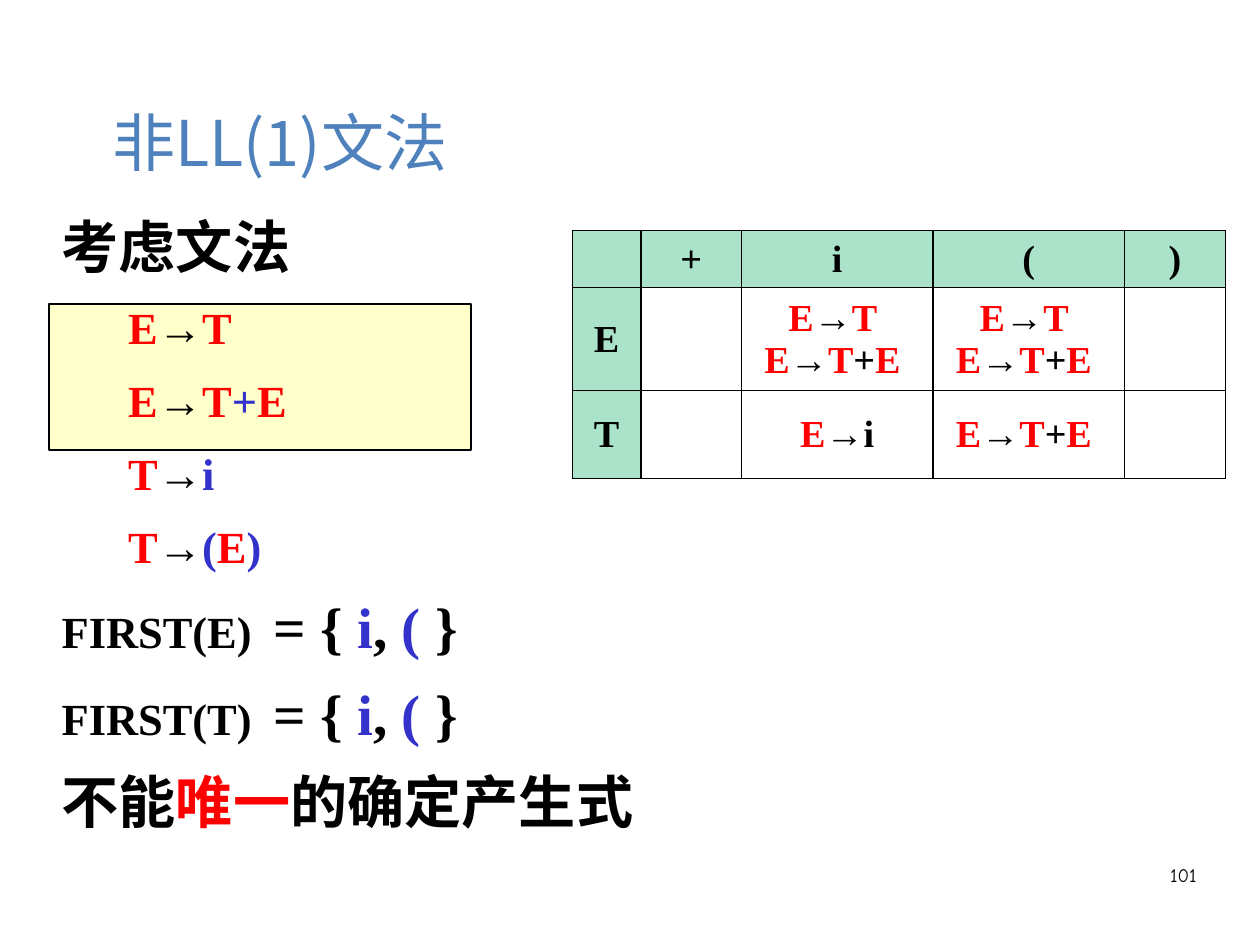
from dataclasses import dataclass
from itertools import groupby

from lxml.etree import SubElement
from pptx import Presentation
from pptx.dml.color import RGBColor
from pptx.enum.shapes import MSO_SHAPE
from pptx.enum.text import MSO_ANCHOR, PP_ALIGN
from pptx.oxml.ns import qn
from pptx.util import Cm, Inches, Pt


@dataclass(frozen=True)
class Theme:
    title: str = "4F81BD"
    black: str = "000000"
    red: str = "FF0000"
    blue: str = "3333CC"
    highlight: str = "FFFFCC"
    header: str = "AAE2CA"
    serif: str = "Times New Roman"
    chinese: str = "Noto Sans CJK SC"
    number_font: str = "Comic Neue"
    title_size: float = 39.7
    large: float = 36
    medium: float = 28
    table_size: float = 24
    number_size: float = 12


THEME = Theme()
WIDTH, HEIGHT = Cm(28), Cm(21)

# Lengths below are columns and rows of a 100 by 100 grid
TABLE_COLUMNS = [5.44, 7.98, 15.2, 15.18, 8.05]
TABLE_ROWS = [6.04, 10.88, 9.31]
EXPANSION = ["E→T ", "E→T+E "]
PARSE_TABLE = [
    [[], ["+"], ["i"], ["("], [")"]],
    [["E"], [], EXPANSION, EXPANSION, []],
    [["T"], [], ["E→i"], EXPANSION[1:], []],
]
GRAMMAR = ["E→T", "E→T+E", "T→i", "T→(E)"]


def columns(count):
    return round(WIDTH * count / 100)


def rows(count):
    return round(HEIGHT * count / 100)


def area(left, top, width, height):
    return columns(left), rows(top), columns(width), rows(height)


def set_all(target, values):
    for name, value in values.items():
        setattr(target, name, value)


def add_span(para, text, size, color=THEME.black, font=THEME.serif, bold=True):
    span = para.add_run()
    span.text = text
    set_all(span.font, {"size": Pt(size), "name": font, "bold": bold})
    span.font.color.rgb = RGBColor.from_string(color)
    SubElement(span.font._element, qn("a:ea"), typeface=font)


def add_production(para, text, size, terminal_color):
    """Colour nonterminals red, arrows black and terminals as given."""
    def symbol_color(symbol):
        if symbol in "ET ":
            return THEME.red
        return THEME.black if symbol == "→" else terminal_color

    for color, symbols in groupby(text, symbol_color):
        add_span(para, "".join(symbols), size, color)


def add_text_box(page, place, insets=(0, 0, 0, 0), anchor=MSO_ANCHOR.TOP):
    frame = page.shapes.add_textbox(*place).text_frame
    sides = ("margin_left", "margin_top", "margin_right", "margin_bottom")
    set_all(frame, dict(zip(sides, map(Inches, insets))))
    set_all(frame, {"word_wrap": True, "vertical_anchor": anchor})
    return frame


def next_para(frame):
    """Use the empty first paragraph, then add new ones."""
    first = frame.paragraphs[0]
    return frame.add_paragraph() if first.runs else first


def add_body_line(frame, indent=0, tab=None):
    para = next_para(frame)
    properties = para._p.get_or_add_pPr()
    properties.set("marL", str(columns(indent)))
    if tab:
        stops = SubElement(properties, qn("a:tabLst"))
        SubElement(stops, qn("a:tab"), pos=str(columns(tab)), algn="l")
    set_all(para, {"line_spacing": 0.95, "space_after": Pt(14.1)})
    return para


def add_highlight(page, place):
    box = page.shapes.add_shape(MSO_SHAPE.RECTANGLE, *place)
    box.shadow.inherit = False
    box.fill.solid()
    box.fill.fore_color.rgb = RGBColor.from_string(THEME.highlight)
    box.line.color.rgb = RGBColor.from_string(THEME.black)
    box.line.width = Pt(1.25)


def add_body(page, place):
    frame = add_text_box(page, place, (0, 0.02, 0, 0))
    add_span(add_body_line(frame), "考虑文法", THEME.large, font=THEME.chinese)

    # Productions
    for production in GRAMMAR:
        para = add_body_line(frame, indent=5.28)
        add_production(para, production, THEME.medium, THEME.blue)

    # First sets
    for symbol in "ET":
        para = add_body_line(frame, tab=16.83)
        add_span(para, f"FIRST({symbol})\t", THEME.medium)
        for text, color in (("= { ", THEME.black), ("i", THEME.blue),
                            (", ", THEME.black), ("( ", THEME.blue),
                            ("}", THEME.black)):
            add_span(para, text, THEME.large, color)

    # Conclusion
    para = add_body_line(frame)
    for text, color in (("不能", THEME.black), ("唯一", THEME.red),
                        ("的确定产生式", THEME.black)):
        add_span(para, text, THEME.large, color, THEME.chinese)


def style_cell(cell, is_header):
    properties = cell._tc.get_or_add_tcPr()
    for side in ("lnL", "lnR", "lnT", "lnB"):
        line = SubElement(properties, qn(f"a:{side}"), w=str(Pt(1)))
        fill = SubElement(line, qn("a:solidFill"))
        SubElement(fill, qn("a:srgbClr"), val=THEME.black)
    cell.vertical_anchor = MSO_ANCHOR.MIDDLE
    if is_header:
        cell.fill.solid()
        cell.fill.fore_color.rgb = RGBColor.from_string(THEME.header)
    else:
        cell.fill.background()


def add_parse_table(page, left, top):
    place = area(left, top, sum(TABLE_COLUMNS), sum(TABLE_ROWS))
    table = page.shapes.add_table(
        len(TABLE_ROWS), len(TABLE_COLUMNS), *place).table
    set_all(table, {"first_row": False, "horz_banding": False})
    for column, width in zip(table.columns, TABLE_COLUMNS):
        column.width = columns(width)
    for row_index, (row, height) in enumerate(zip(table.rows, TABLE_ROWS)):
        row.height = rows(height)
        for column_index, lines in enumerate(PARSE_TABLE[row_index]):
            cell = row.cells[column_index]
            is_header = row_index == 0 or column_index == 0
            style_cell(cell, is_header)
            for text in lines:
                para = next_para(cell.text_frame)
                para.alignment = PP_ALIGN.CENTER
                if is_header:
                    add_span(para, text, THEME.table_size)
                else:
                    add_production(para, text, THEME.table_size, THEME.black)


def main():
    deck = Presentation()
    deck.slide_width = WIDTH
    deck.slide_height = HEIGHT
    page = deck.slides.add_slide(deck.slide_layouts[6])

    # Title
    title = add_text_box(page, area(6.9, 5.26, 86.3, 19.35),
                         (0.22, 0.05, 0.1, 0.05), MSO_ANCHOR.MIDDLE)
    add_span(title.paragraphs[0], "非LL(1)文法", THEME.title_size,
             THEME.title, THEME.chinese, bold=False)

    # Grammar and its parse table
    add_highlight(page, area(3.92, 32.16, 33.47, 15.45))
    add_body(page, area(4.9, 22.62, 90, 70.88))
    add_parse_table(page, 45.43, 24.4)

    # Page number
    number = add_text_box(page, area(71.68, 91, 23.3, 6.89)).paragraphs[0]
    set_all(number, {"alignment": PP_ALIGN.RIGHT, "line_spacing": 1.16})
    add_span(number, "101", THEME.number_size, font=THEME.number_font,
             bold=False)

    deck.save("out.pptx")


if __name__ == "__main__":
    main()
